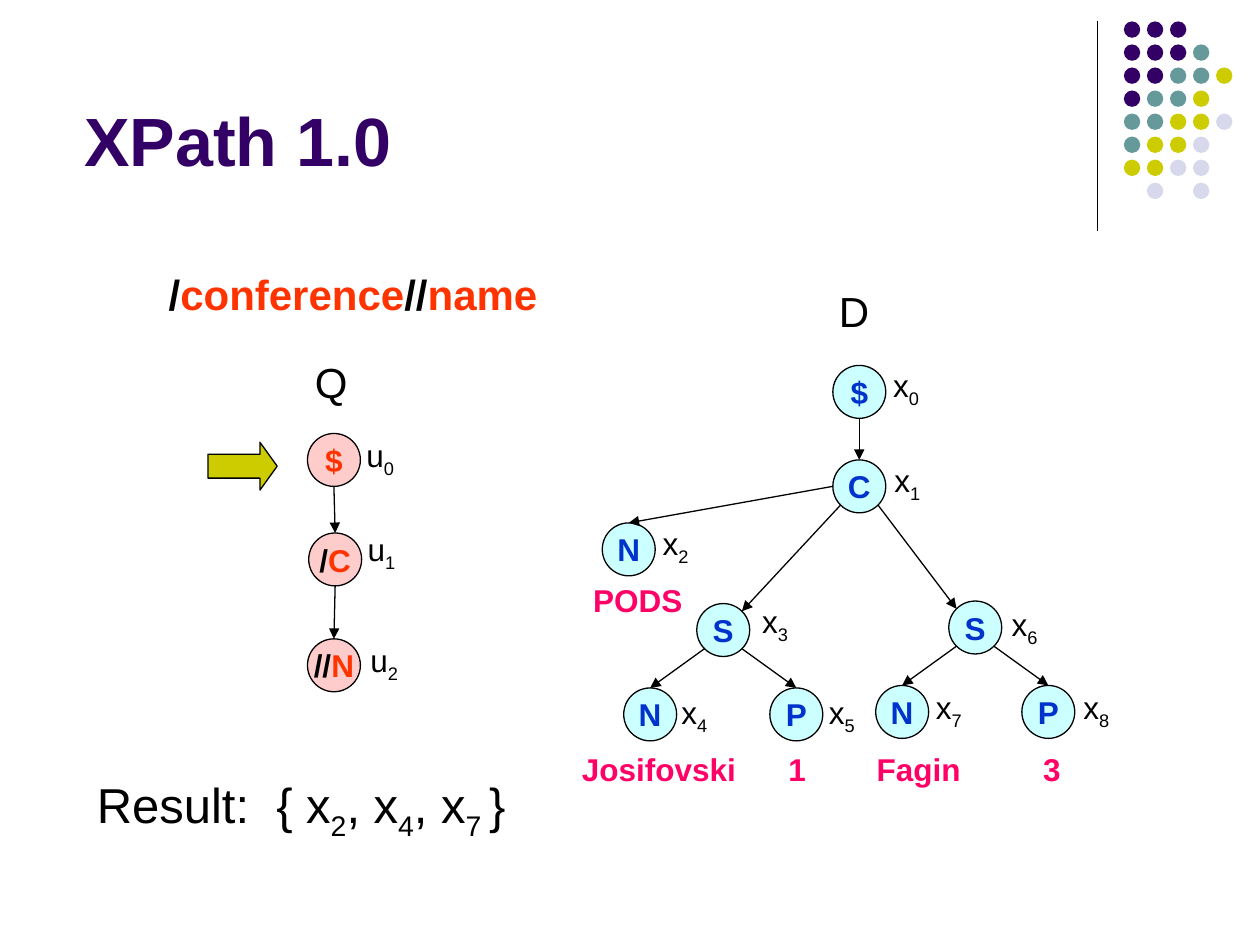
import math

import pptx
import pptx.util
import pptx.dml.color
import pptx.enum.shapes
import pptx.enum.text
import pptx.oxml
import pptx.oxml.ns

RGB = pptx.dml.color.RGBColor
SHAPE = pptx.enum.shapes.MSO_SHAPE
ANCHOR = pptx.enum.text.MSO_ANCHOR
ALIGN = pptx.enum.text.PP_ALIGN
AUTO = pptx.enum.text.MSO_AUTO_SIZE
Inches = pptx.util.Inches

BLACK = RGB(0x00, 0x00, 0x00)
PURPLE = RGB(0x33, 0x00, 0x66)
TEAL = RGB(0x66, 0x99, 0x99)
OLIVE = RGB(0xCC, 0xCC, 0x00)
LILAC = RGB(0xD8, 0xD8, 0xEC)
CYAN = RGB(0xCC, 0xFF, 0xFF)
ROSE = RGB(0xFF, 0xCC, 0xCC)
BLUE = RGB(0x00, 0x33, 0xCC)
RED = RGB(0xFF, 0x33, 0x00)
PINK = RGB(0xFF, 0x00, 0x66)

# Content: decorative dots, one letter per colour
DOT_COLORS = {"p": PURPLE, "t": TEAL, "o": OLIVE, "l": LILAC}
DOT_ROWS = ["ppp", "pppt", "pptto", "ptto", "ttool", "tool", "ooll", " l l"]
DOT_LEFT, DOT_TOP, DOT_SIZE, DOT_PITCH = 8.92, 0.17, 0.13, 1.28 / 7

# Content: tree nodes as name: (left, top, (prefix, letter), label left, label top)
DOCUMENT_NODES = {
    "x0": (6.61, 2.90, ("", "$"), 6.99, 2.86),
    "x1": (6.61, 3.65, ("", "C"), 7.00, 3.61),
    "x2": (4.78, 4.15, ("", "N"), 5.16, 4.11),
    "x3": (5.53, 4.79, ("", "S"), 5.95, 4.73),
    "x4": (4.95, 5.46, ("", "N"), 5.31, 5.45),
    "x5": (6.11, 5.46, ("", "P"), 6.48, 5.45),
    "x6": (7.53, 4.77, ("", "S"), 7.93, 4.75),
    "x7": (6.95, 5.44, ("", "N"), 7.33, 5.41),
    "x8": (8.11, 5.44, ("", "P"), 8.50, 5.41),
}
QUERY_NODES = {
    "u0": (2.44, 3.44, ("", "$"), 2.81, 3.41),
    "u1": (2.45, 4.23, ("/", "C"), 2.82, 4.16),
    "u2": (2.44, 5.07, ("//", "N"), 2.84, 5.04),
}
NODES = {**DOCUMENT_NODES, **QUERY_NODES}
NODE_SIZE = 0.42

# Edges: parent, angle it leaves at, child, angle it enters at (90 = top)
EDGES = [
    ("x0", 270, "x1", 90), ("x1", 180, "x2", 90),
    ("x1", 225, "x3", 45), ("x1", 315, "x6", 135),
    ("x3", 225, "x4", 90), ("x3", 315, "x5", 90),
    ("x6", 225, "x7", 90), ("x6", 315, "x8", 90),
    ("u0", 270, "u1", 90), ("u1", 270, "u2", 90),
]

# Content: leaf values and free texts; a run is (text, colour, subscript?)
VALUES = [("PODS", 4.61, 4.56, 0.92), ("Josifovski", 4.52, 5.9, 1.43),
          ("1", 6.16, 5.9, 1.17), ("Fagin", 6.86, 5.9, 1.17), ("3", 8.18, 5.9, 0.67)]
QUERY = [("/", BLACK), ("conference", RED), ("//", BLACK), ("name", RED)]
RESULT = [("Result:  { x", BLACK), ("2", BLACK, True), (", x", BLACK), ("4", BLACK, True),
          (", x", BLACK), ("7 ", BLACK, True), ("}", BLACK)]

prs = pptx.Presentation()
prs.slide_width, prs.slide_height = Inches(10), Inches(7.5)
s = prs.slides.add_slide(prs.slide_layouts[6])


def write(tf, runs, size, bold=False):
    p = tf.paragraphs[0]
    for text, color, *sub in runs:
        r = p.add_run()
        r.text = text
        for name, value in {"name": "Arial", "size": pptx.util.Pt(size), "bold": bold}.items():
            setattr(r.font, name, value)
        r.font.color.rgb = color
        if sub:
            r.font._element.set("baseline", "-25000")


def add_text(left, top, width, height, runs, size, bold=False, **frame):
    tf = s.shapes.add_textbox(*map(Inches, (left, top, width, height))).text_frame
    for name, value in {"word_wrap": True, "auto_size": AUTO.SHAPE_TO_FIT_TEXT, **frame}.items():
        setattr(tf, name, value)
    write(tf, runs, size, bold)


def add_filled(kind, left, top, width, height, fill, outlined=True):
    sp = s.shapes.add_shape(kind, *map(Inches, (left, top, width, height)))
    sp.shadow.inherit = False
    sp.fill.solid()
    sp.fill.fore_color.rgb = fill
    if outlined:
        sp.line.color.rgb = BLACK
        sp.line.width = pptx.util.Pt(0.75)
    else:
        sp.line.fill.background()
    return sp


def add_line(start, end, arrow=False):
    line = s.shapes.add_connector(pptx.enum.shapes.MSO_CONNECTOR.STRAIGHT,
                                  *map(Inches, (*start, *end)))
    line.line.color.rgb = BLACK
    line.line.width = pptx.util.Pt(0.75)
    if arrow:
        ln = line.line._get_or_add_ln()
        ln.append(pptx.oxml.parse_xml(
            '<a:tailEnd %s type="triangle"/>' % pptx.oxml.ns.nsdecls("a")))
    line._element.spPr.append(pptx.oxml.parse_xml(
        "<a:effectLst %s/>" % pptx.oxml.ns.nsdecls("a")))


def rim(node, angle):
    """Point on a node's circle at the given angle."""
    left, top = NODES[node][:2]
    radius, a = NODE_SIZE / 2, math.radians(angle)
    return left + radius * (1 + math.cos(a)), top + radius * (1 - math.sin(a))


# Corner decoration
add_line((8.71, 0.17), (8.71, 1.83))
for row, codes in enumerate(DOT_ROWS):
    for col, code in enumerate(codes):
        if code in DOT_COLORS:
            add_filled(SHAPE.OVAL, DOT_LEFT + col * DOT_PITCH, DOT_TOP + row * DOT_PITCH,
                       DOT_SIZE, DOT_SIZE, DOT_COLORS[code], outlined=False)

# Title, query, tree captions and result
add_text(0.57, 0.2, 8.11, 1.28, [("XPath 1.0", PURPLE)], 39, True,
         vertical_anchor=ANCHOR.BOTTOM, auto_size=AUTO.NONE)
add_text(1.24, 2.08, 8.43, 0.5, QUERY, 24, True)
add_text(6.56, 2.22, 1.37, 0.5, [("D", BLACK)], 24)
add_text(2.4, 2.78, 1.37, 0.5, [("Q", BLACK)], 24)
add_text(0.67, 6.1, 3.75, 0.63, RESULT, 28)

# Both trees: nodes with their labels, then edges
for name, (left, top, (prefix, letter), label_left, label_top) in NODES.items():
    fill, color = (CYAN, BLUE) if name in DOCUMENT_NODES else (ROSE, RED)
    tf = add_filled(SHAPE.OVAL, left, top, NODE_SIZE, NODE_SIZE, fill).text_frame
    tf.word_wrap = False
    tf.vertical_anchor = ANCHOR.MIDDLE
    tf.paragraphs[0].alignment = ALIGN.CENTER
    write(tf, [run for run in ((prefix, BLACK), (letter, color)) if run[0]], 18, True)
    add_text(label_left, label_top, 0.58, 0.44,
             [(name[0], BLACK), (name[1], BLACK, True)], 18)
for parent, leave, child, enter in EDGES:
    add_line(rim(parent, leave), rim(child, enter), arrow=True)

# Leaf values
for text, left, top, width in VALUES:
    add_text(left, top, width, 0.4, [(text, PINK)], 18, True)

# Pointer to the current query node
pointer = add_filled(SHAPE.RIGHT_ARROW, 1.65, 3.51, 0.55, 0.38, OLIVE)
pointer.adjustments[1] = 0.36

prs.save("out.pptx")
